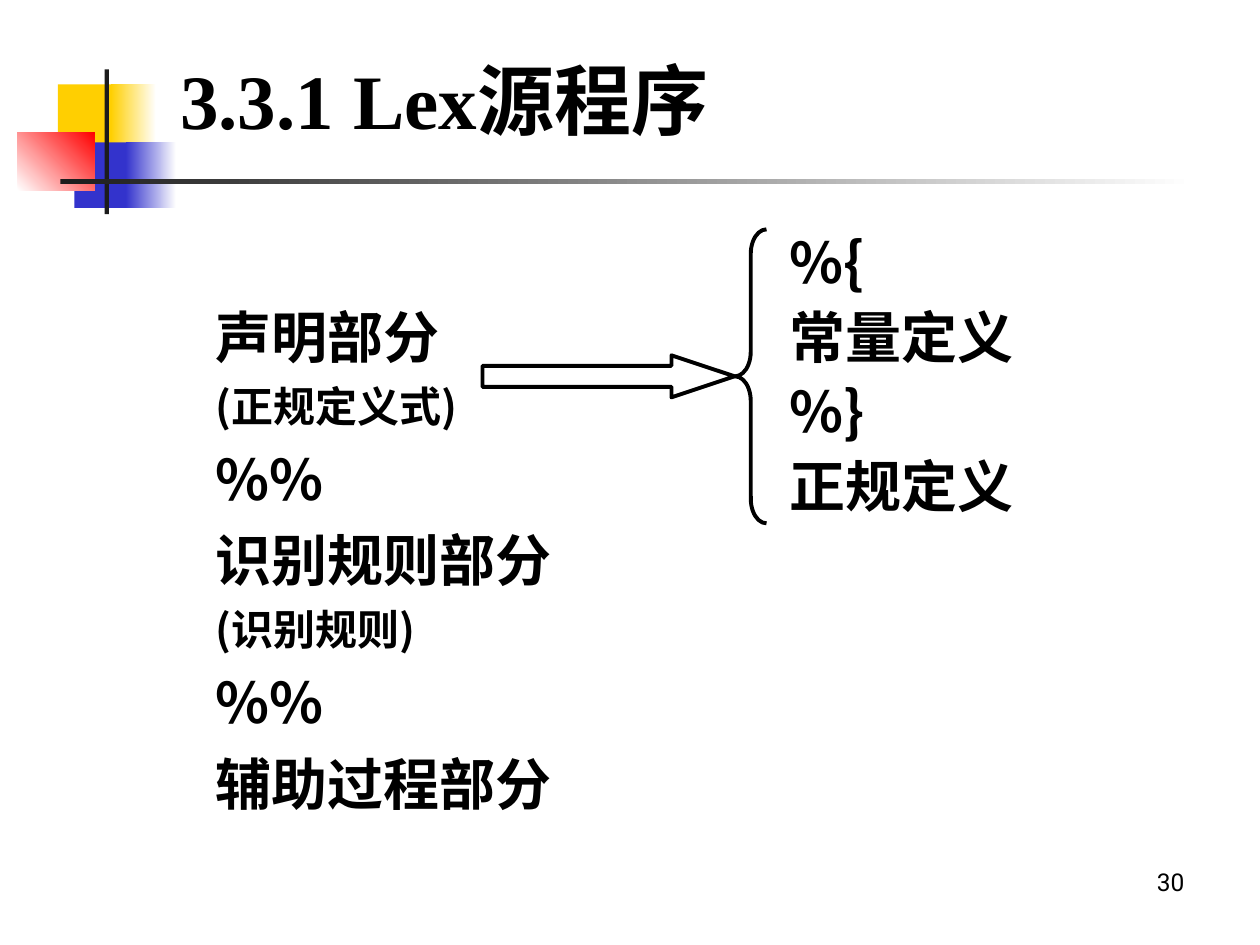
from dataclasses import dataclass

from lxml import etree
from pptx import Presentation
from pptx.dml.color import RGBColor
from pptx.enum.shapes import MSO_SHAPE
from pptx.enum.text import MSO_ANCHOR, MSO_AUTO_SIZE, PP_ALIGN
from pptx.oxml.ns import qn
from pptx.util import Pt

RECT, ARROW, BRACE = MSO_SHAPE.RECTANGLE, MSO_SHAPE.RIGHT_ARROW, MSO_SHAPE.LEFT_BRACE
LEFT, RIGHT = PP_ALIGN.LEFT, PP_ALIGN.RIGHT
TOP, MIDDLE = MSO_ANCHOR.TOP, MSO_ANCHOR.MIDDLE
NO_AUTOFIT = MSO_AUTO_SIZE.NONE

COLORS = {"black": "000000", "white": "FFFFFF", "gold": "FFCF01",
          "blue": "3333CC", "red": "FF0000", "rule": "1C1C1C"}
CJK_FONT = "Noto Sans CJK SC"
HANGING = 27


@dataclass
class Block:
    """A decoration rectangle; with an end colour it fades at the given angle."""
    left: float
    top: float
    width: float
    height: float
    color: str
    end: str = ""
    angle: float = 0


@dataclass
class Line:
    text: str
    size: float = 32
    before: float = 8


DECORATION = [
    Block(33.12, 48.24, 34.56, 37.44, "gold"),
    Block(63.36, 48.24, 25.92, 37.44, "gold", "white"),
    Block(42.48, 81.36, 33.12, 37.44, "blue"),
    Block(72, 81.36, 28.8, 37.44, "blue", "white"),
    Block(10.08, 75.6, 43.92, 33.12, "white", "red", 45),
    Block(59.76, 39.6, 2.5, 82.8, "rule"),
    Block(34.56, 102.24, 648, 2.88, "rule", "white"),
]
PROGRAM_PARTS = [
    Line("声明部分"), Line("(正规定义式)", 24, 6), Line("%%"),
    Line("识别规则部分"), Line("(识别规则)", 24, 6), Line("%%"),
    Line("辅助过程部分"),
]
DECLARATIONS = [Line("%{"), Line("常量定义"), Line("%}"), Line("正规定义")]


def rgb(name: str) -> RGBColor:
    return RGBColor.from_string(COLORS[name])


def place(sp, left: float, top: float, width: float, height: float) -> None:
    sp.left, sp.top, sp.width, sp.height = Pt(left), Pt(top), Pt(width), Pt(height)


def write(sp, lines: list[Line], font: str = CJK_FONT, bold: bool = True,
          align=LEFT, anchor=TOP, indent: float = 0, spacing: float = 1.0) -> None:
    tf = sp.text_frame
    tf.word_wrap = True
    tf.auto_size = NO_AUTOFIT
    tf.vertical_anchor = anchor
    for i, line in enumerate(lines):
        p = tf.add_paragraph() if i else tf.paragraphs[0]
        p.alignment = align
        p.line_spacing = spacing
        p.space_before = Pt(line.before)
        pPr = p._p.get_or_add_pPr()
        pPr.set("marL", str(Pt(indent)))
        pPr.set("indent", str(-Pt(indent)))
        etree.SubElement(pPr, qn("a:buNone"))
        r = p.add_run()
        r.text = line.text
        r.font.size = Pt(line.size)
        r.font.bold = bold
        r.font.color.rgb = rgb("black")
        r.font.name = font
        etree.SubElement(r._r.get_or_add_rPr(), qn("a:ea"), typeface=CJK_FONT)


def add_block(slide, block: Block) -> None:
    sp = slide.shapes.add_shape(RECT, Pt(block.left), Pt(block.top),
                                Pt(block.width), Pt(block.height))
    sp.shadow.inherit = False
    sp.line.fill.background()
    if block.end:
        sp.fill.gradient()
        sp.fill.gradient_angle = block.angle
        for stop, color, position in zip(sp.fill.gradient_stops,
                                         (block.color, block.end), (0, 1)):
            stop.color.rgb = rgb(color)
            stop.position = position
    else:
        sp.fill.solid()
        sp.fill.fore_color.rgb = rgb(block.color)


def add_outline(slide, kind, left: float, top: float, width: float, height: float,
                adjustments: tuple[float, float]) -> None:
    sp = slide.shapes.add_shape(kind, Pt(left), Pt(top), Pt(width), Pt(height))
    sp.shadow.inherit = False
    sp.fill.background()
    sp.line.color.rgb = rgb("black")
    sp.line.width = Pt(2.25)
    for i, value in enumerate(adjustments):
        sp.adjustments[i] = value


def add_text(slide, left: float, top: float, width: float, height: float,
             lines: list[Line], **fmt) -> None:
    sp = slide.shapes.add_textbox(Pt(left), Pt(top), Pt(width), Pt(height))
    write(sp, lines, **fmt)


def main() -> None:
    prs = Presentation()
    prs.slide_width, prs.slide_height = Pt(720), Pt(540)
    slide = prs.slides.add_slide(prs.slide_layouts[1])

    for block in DECORATION:
        add_block(slide, block)

    title, body = slide.placeholders
    place(title, 95.76, 37.44, 485.28, 37.44)
    write(title, [Line("3.3.1 Lex源程序", 44, 0)], font="Times New Roman", anchor=MIDDLE)
    place(body, 115.92, 169.2, 235.44, 310.32)
    write(body, PROGRAM_PARTS, indent=HANGING)

    add_text(slide, 444.24, 131.04, 167.76, 180, DECLARATIONS,
             indent=HANGING, spacing=0.9)
    add_text(slide, 516.24, 491.76, 167.76, 37.44, [Line("30", 14, 0)],
             font="Roboto", bold=False, align=RIGHT)

    add_outline(slide, ARROW, 275.76, 203.04, 144, 24, (0.5, 1.5))
    add_outline(slide, BRACE, 420, 131.04, 18, 168, (0.78, 0.5))

    prs.save("out.pptx")


if __name__ == "__main__":
    main()
